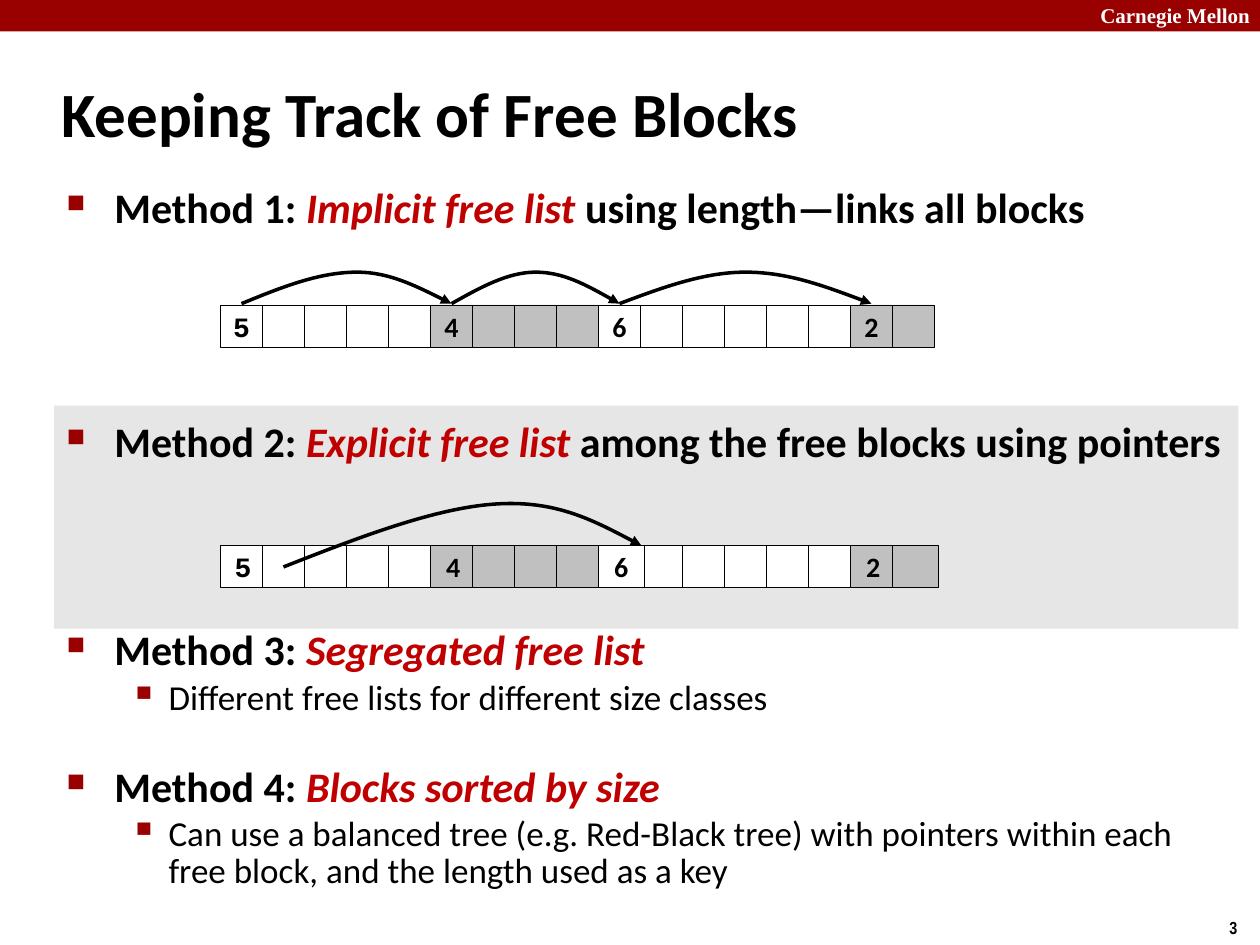
import pptx
import pptx.util
import pptx.dml.color
import pptx.enum.shapes
import pptx.enum.text
import pptx.oxml.ns
import pptx.oxml.xmlchemy

Inches = pptx.util.Inches
Pt = pptx.util.Pt
RGBColor = pptx.dml.color.RGBColor
Align = pptx.enum.text.PP_ALIGN
Anchor = pptx.enum.text.MSO_ANCHOR
qn = pptx.oxml.ns.qn

BLACK = RGBColor(0, 0, 0)
WHITE = RGBColor(255, 255, 255)
DARK_RED = RGBColor(0x99, 0, 0)
TERM_RED = RGBColor(0xC0, 0, 0)
PANEL_GRAY = RGBColor(0xE6, 0xE6, 0xE6)
BLOCK_GRAY = RGBColor(0xC0, 0xC0, 0xC0)

CELL = 1 / 3
ROW_LEFT = 1.75
BLOCKS = [(5, WHITE), (4, BLOCK_GRAY), (6, WHITE), (2, BLOCK_GRAY)]


def add_span(para, text, size=24, font="Calibri", color=BLACK, bold=True, italic=False):
    span = para.add_run()
    span.text = text
    span.font.size = Pt(size)
    span.font.name = font
    span.font.color.rgb = color
    span.font.bold = bold
    span.font.italic = italic


def add_box(page, left, top, width, height, wrap=True, anchor=Anchor.TOP):
    box = page.shapes.add_textbox(Inches(left), Inches(top), Inches(width), Inches(height))
    box.text_frame.word_wrap = wrap
    box.text_frame.vertical_anchor = anchor
    return box.text_frame


def add_rectangle(page, left, top, width, height, color, line=None):
    shape = page.shapes.add_shape(
        pptx.enum.shapes.MSO_SHAPE.RECTANGLE,
        Inches(left), Inches(top), Inches(width), Inches(height))
    shape.shadow.inherit = False
    shape.fill.solid()
    shape.fill.fore_color.rgb = color
    if line:
        shape.line.color.rgb = BLACK
        shape.line.width = Pt(line)
    else:
        shape.line.fill.background()
    return shape


def add_child(parent, tag, **attributes):
    child = pptx.oxml.xmlchemy.OxmlElement(tag)
    for name, value in attributes.items():
        child.set(name, str(value))
    parent.append(child)
    return child


def add_bullet(para, mark, percent, margin, hanging):
    properties = para._p.get_or_add_pPr()
    properties.set("marL", str(Inches(margin)))
    properties.set("indent", str(-Inches(hanging)))
    add_child(add_child(properties, "a:buClr"), "a:srgbClr", val=DARK_RED)
    add_child(properties, "a:buSzPct", val=percent * 1000)
    add_child(properties, "a:buChar", char=mark)


def add_method(frame, label, term, rest="", detail="", gap=0, spacing=1.0):
    para = frame.add_paragraph() if gap else frame.paragraphs[0]
    para.space_before = Pt(gap)
    para.line_spacing = spacing
    add_bullet(para, "■", 60, 0.38, 0.38)
    add_span(para, label)
    add_span(para, term, color=TERM_RED, italic=True)
    if rest:
        add_span(para, rest)
    if detail:
        para = frame.add_paragraph()
        para.level = 1
        para.space_before = Pt(4)
        para.line_spacing = 0.88
        add_bullet(para, "▪", 110, 0.81, 0.31)
        add_span(para, detail, size=20, bold=False)


def add_block_row(page, top, width):
    cells = [(size if index == 0 else None, color)
             for size, color in BLOCKS for index in range(size)]
    placed = sorted(enumerate(cells), key=lambda cell: cell[1][0] == 6)
    for column, (label, color) in placed:
        shape = add_rectangle(page, ROW_LEFT + column * CELL, top, width, CELL, color, line=0.25)
        if label:
            frame = shape.text_frame
            frame.word_wrap = False
            frame.vertical_anchor = Anchor.MIDDLE
            para = frame.paragraphs[0]
            para.alignment = Align.CENTER
            add_span(para, str(label), size=16, font="Courier New" if label == 5 else "Calibri")


def add_curved_arrow(page, points):
    start, *others = [(Inches(x), Inches(y)) for x, y in points]
    builder = page.shapes.build_freeform(*start)
    builder.add_line_segments(others, close=False)
    shape = builder.convert_to_shape()
    shape.shadow.inherit = False
    shape.fill.background()
    shape.line.color.rgb = BLACK
    shape.line.width = Pt(2)
    add_child(shape.line._get_or_add_ln(), "a:tailEnd", type="triangle")
    outline = next(shape._element.iter(qn("a:path")))
    segments = outline.findall(qn("a:lnTo"))
    for first in range(0, len(segments), 3):
        curve = add_child(outline, "a:cubicBezTo")
        for segment in segments[first:first + 3]:
            curve.append(segment[0])
            outline.remove(segment)


def add_arch(page, left, width, peak=0.5):
    rise = [(peak * step / 3, height) for step, height in enumerate((1, 0.5, 0))]
    fall = [(peak + (1 - peak) * step / 3, height)
            for step, height in enumerate((0, 0, 0.5, 1))]
    add_curved_arrow(page, [(left + x * width, 2.16 + y * 0.25) for x, y in rise + fall])


def add_header(page):
    add_rectangle(page, 0, 0, 10, 0.25, DARK_RED)
    para = add_box(page, 8.57, -0.03, 1.45, 0.3).paragraphs[0]
    para.alignment = Align.RIGHT
    add_span(para, "Carnegie Mellon", size=12, font="Times New Roman", color=WHITE)
    para = add_box(page, 9.66, 7.23, 0.27, 0.27, wrap=False).paragraphs[0]
    add_span(para, "3", size=10, font="Arial Narrow")
    title = add_box(page, 0.39, 0.48, 8.3, 0.83, anchor=Anchor.MIDDLE)
    add_span(title.paragraphs[0], "Keeping Track of Free Blocks", size=36)


def add_methods(page):
    frame = add_box(page, 0.43, 1.39, 9.4, 5.86)
    add_method(frame, "Method 1: ", "Implicit free list ", "using length—links all blocks")
    add_method(frame, "Method 2: ", "Explicit free list ",
               "among the free blocks using pointers", gap=105)
    add_method(frame, "Method 3: ", "Segregated free list", gap=95, spacing=0.83,
               detail="Different free lists for different size classes")
    add_method(frame, "Method 4: ", "Blocks sorted by size", gap=29, spacing=0.83,
               detail="Can use a balanced tree (e.g. Red-Black tree) with pointers "
                      "within each free block, and the length used as a key")


def main():
    deck = pptx.Presentation()
    deck.slide_width = Inches(10)
    deck.slide_height = Inches(7.5)
    page = deck.slides.add_slide(deck.slide_layouts[6])
    add_rectangle(page, 0.43, 3.22, 9.4, 1.77, PANEL_GRAY)
    add_header(page)
    add_methods(page)

    add_block_row(page, 2.42, CELL)
    left = ROW_LEFT + CELL / 2
    for (size, _), peak in zip(BLOCKS[:3], (0.55, 0.5, 0.5)):
        add_arch(page, left, size * CELL, peak)
        left += size * CELL

    add_block_row(page, 4.33, 0.36)
    add_curved_arrow(page, [(2.25, 4.5), (2.86, 4.26), (3.46, 4.03), (3.94, 4),
                            (4.41, 3.97), (4.75, 4.15), (5.09, 4.33)])
    deck.save("out.pptx")


if __name__ == "__main__":
    main()
